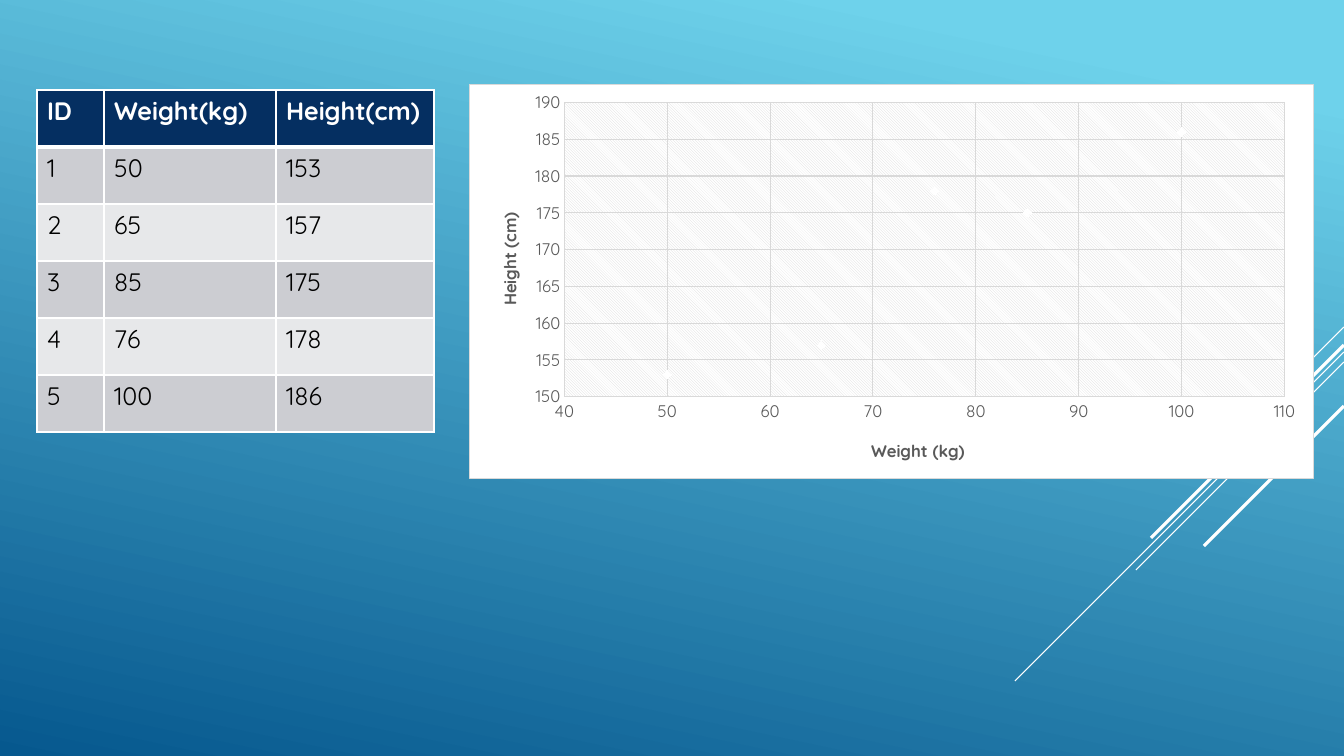
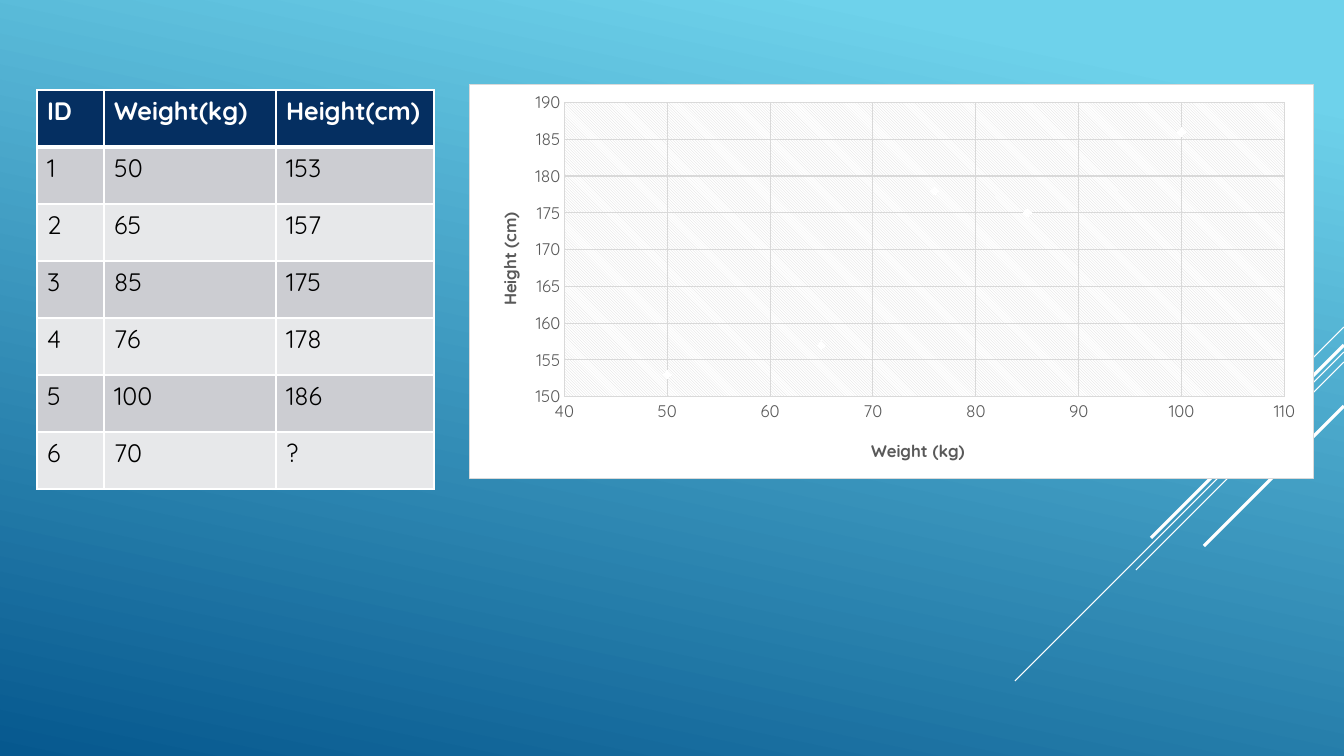
from dataclasses import dataclass

from pptx import Presentation
from pptx.chart.axis import ValueAxis
from pptx.chart.chart import Chart
from pptx.chart.data import XyChartData
from pptx.dml.color import RGBColor
from pptx.dml.line import LineFormat
from pptx.enum.chart import XL_CHART_TYPE, XL_MARKER_STYLE, XL_TICK_MARK
from pptx.enum.shapes import MSO_CONNECTOR
from pptx.oxml import parse_xml
from pptx.oxml.ns import nsdecls, qn
from pptx.oxml.xmlchemy import BaseOxmlElement
from pptx.presentation import Presentation as Deck
from pptx.slide import Slide
from pptx.table import _Cell as Cell
from pptx.text.text import Font
from pptx.util import Emu, Pt

SCATTER = XL_CHART_TYPE.XY_SCATTER
DIAMOND = XL_MARKER_STYLE.DIAMOND
NO_TICK = XL_TICK_MARK.NONE
STRAIGHT = MSO_CONNECTOR.STRAIGHT

SLIDE_WIDTH, SLIDE_HEIGHT = 1344, 756
EMU_PER_PX = 12192000 / SLIDE_WIDTH
FONT = "Quicksand"
COLORS = {
    "sky": "6ED2EB",
    "ocean": "06588E",
    "white": "FFFFFF",
    "black": "000000",
    "header": "052F61",
    "band_dark": "CCCDD2",
    "band_light": "E7E8EA",
    "grid": "D9D9D9",
    "axis_text": "595959",
}


@dataclass(frozen=True)
class Box:
    left: int
    top: int
    width: int
    height: int


@dataclass(frozen=True)
class Streak:
    """A 45 degree line running down and left from the right slide edge."""

    top: int
    run: int
    weight: float


@dataclass(frozen=True)
class AxisStyle:
    title: str
    title_left: int
    title_top: int
    minimum: int
    maximum: int
    step: int


STREAKS = (
    Streak(327, 101, 0.75),
    Streak(352, 329, 0.75),
    Streak(362, 208, 0.75),
    Streak(345, 193, 2.25),
    Streak(406, 140, 2.25),
)

TABLE_LEFT, TABLE_TOP = 37, 90
COLUMN_WIDTHS = (67, 172, 158)
ROW_HEIGHT = 57
HEADINGS = ("ID", "Weight(kg)", "Height(cm)")
KNOWN_PEOPLE = (
    ("1", "50", "153"),
    ("2", "65", "157"),
    ("3", "85", "175"),
    ("4", "76", "178"),
    ("5", "100", "186"),
)
NEW_PERSON = ("6", "70", "?")

# Plot and axis title places are measured from the chart's corner.
CHART_BOX = Box(469, 84, 845, 395)
PLOT_BOX = Box(95, 18, 721, 295)
POINTS = ((65, 157), (100, 186), (85, 175), (50, 153), (76, 178))
WEIGHT_AXIS = AxisStyle("Weight (kg)", 399, 352, 40, 110, 10)
HEIGHT_AXIS = AxisStyle("Height (cm)", 25, 125, 150, 190, 5)


def px(length: int) -> Emu:
    return Emu(round(length * EMU_PER_PX))


def rgb(name: str) -> RGBColor:
    return RGBColor.from_string(COLORS[name])


def style_font(font: Font, size: int, color: str, bold: bool = False) -> None:
    font.name = FONT
    font.size = Pt(size)
    font.bold = bold
    font.color.rgb = rgb(color)


def style_line(line: LineFormat, color: str, weight: float) -> None:
    line.color.rgb = rgb(color)
    line.width = Pt(weight)


def paint_background(deck: Deck) -> None:
    fill = deck.slide_master.background.fill
    fill.gradient()
    fill.gradient_angle = 360 - 102
    stops = zip(fill.gradient_stops, (("sky", 0.1), ("ocean", 1)))
    for stop, (color, position) in stops:
        stop.color.rgb = rgb(color)
        stop.position = position


def add_streak(slide: Slide, streak: Streak) -> None:
    line = slide.shapes.add_connector(
        STRAIGHT,
        px(SLIDE_WIDTH),
        px(streak.top),
        px(SLIDE_WIDTH - streak.run),
        px(streak.top + streak.run),
    )
    style_line(line.line, "white", streak.weight)
    line.element.spPr.append(parse_xml(f"<a:effectLst {nsdecls('a')}/>"))


def set_borders(cell: Cell, top: int, bottom: int) -> None:
    properties = cell.fill and cell._tc.get_or_add_tcPr()
    for side, weight in (("L", 1), ("R", 1), ("T", top), ("B", bottom)):
        properties.append(parse_xml(
            f'<a:ln{side} {nsdecls("a")} w="{Pt(weight)}"><a:solidFill>'
            f'<a:srgbClr val="{COLORS["white"]}"/></a:solidFill></a:ln{side}>'
        ))


def add_people_table(slide: Slide, people: tuple[tuple[str, ...], ...]) -> None:
    rows = (HEADINGS, *people)
    table = slide.shapes.add_table(
        len(rows), len(HEADINGS), px(TABLE_LEFT), px(TABLE_TOP),
        px(sum(COLUMN_WIDTHS)), px(ROW_HEIGHT * len(rows)),
    ).table
    table.horz_banding = False
    for column, width in zip(table.columns, COLUMN_WIDTHS):
        column.width = px(width)
    for row_index, texts in enumerate(rows):
        is_header = row_index == 0
        band = "band_dark" if row_index % 2 else "band_light"
        table.rows[row_index].height = px(ROW_HEIGHT)
        for column_index, text in enumerate(texts):
            cell = table.cell(row_index, column_index)
            set_borders(cell, 3 if row_index == 1 else 1, 3 if is_header else 1)
            cell.fill.solid()
            cell.fill.fore_color.rgb = rgb("header" if is_header else band)
            span = cell.text_frame.paragraphs[0].add_run()
            span.text = text
            style_font(span.font, 18, "white" if is_header else "black", is_header)


def chart_layout(left: int, top: int, plot: Box | None = None) -> BaseOxmlElement:
    """Place a chart part by fractions of the chart's size."""
    fractions = {"x": left / CHART_BOX.width, "y": top / CHART_BOX.height}
    target = ""
    if plot:
        target = '<c:layoutTarget val="inner"/>'
        fractions["w"] = plot.width / CHART_BOX.width
        fractions["h"] = plot.height / CHART_BOX.height
    modes = '<c:xMode val="edge"/><c:yMode val="edge"/>'
    values = "".join(f'<c:{key} val="{value:.4f}"/>' for key, value in fractions.items())
    return parse_xml(
        f"<c:layout {nsdecls('c')}><c:manualLayout>{target}{modes}{values}"
        "</c:manualLayout></c:layout>"
    )


def drop_layout(parent: BaseOxmlElement) -> None:
    for layout in parent.findall(qn("c:layout")):
        parent.remove(layout)


def style_axis(axis: ValueAxis, style: AxisStyle) -> None:
    axis.minimum_scale = style.minimum
    axis.maximum_scale = style.maximum
    axis.major_unit = style.step
    axis.major_tick_mark = axis.minor_tick_mark = NO_TICK
    axis.has_major_gridlines = True
    style_line(axis.major_gridlines.format.line, "grid", 0.75)
    style_line(axis.format.line, "grid", 0.75)
    style_font(axis.tick_labels.font, 12, "axis_text")
    span = axis.axis_title.text_frame.paragraphs[0].add_run()
    span.text = style.title
    style_font(span.font, 12, "axis_text", bold=True)
    title = axis.axis_title.element
    drop_layout(title)
    title.find(qn("c:tx")).addnext(chart_layout(style.title_left, style.title_top))


def fill_chart_areas(chart: Chart) -> None:
    """Give the chart a white ground and the plot a hatched one."""
    chart_part = chart.element.find(qn("c:chart"))
    chart_part.addnext(parse_xml(
        f'<c:spPr {nsdecls("c", "a")}><a:solidFill><a:srgbClr val="{COLORS["white"]}"/>'
        f'</a:solidFill><a:ln w="{Pt(0.75)}"><a:solidFill>'
        f'<a:srgbClr val="{COLORS["grid"]}"/></a:solidFill></a:ln></c:spPr>'
    ))
    plot_area = chart_part.find(qn("c:plotArea"))
    drop_layout(plot_area)
    plot_area.insert(0, chart_layout(PLOT_BOX.left, PLOT_BOX.top, PLOT_BOX))
    plot_area.append(parse_xml(
        f'<c:spPr {nsdecls("c", "a")}><a:pattFill prst="ltDnDiag">'
        f'<a:fgClr><a:srgbClr val="{COLORS["grid"]}"/></a:fgClr>'
        f'<a:bgClr><a:srgbClr val="{COLORS["white"]}"/></a:bgClr>'
        "</a:pattFill><a:ln><a:noFill/></a:ln></c:spPr>"
    ))


def add_scatter_chart(slide: Slide) -> None:
    data = XyChartData()
    points = data.add_series("Series 1")
    for weight, height in POINTS:
        points.add_data_point(weight, height)
    chart = slide.shapes.add_chart(
        SCATTER, px(CHART_BOX.left), px(CHART_BOX.top),
        px(CHART_BOX.width), px(CHART_BOX.height), data,
    ).chart
    chart.has_title = False
    chart.has_legend = False
    style_font(chart.font, 10, "white")
    fill_chart_areas(chart)
    style_axis(chart.category_axis, WEIGHT_AXIS)
    style_axis(chart.value_axis, HEIGHT_AXIS)
    plot = chart.plots[0]
    plot.vary_by_categories = False
    series = plot.series[0]
    series.format.line.fill.background()
    series.marker.style = DIAMOND
    series.marker.size = 6
    series.marker.format.fill.solid()
    series.marker.format.fill.fore_color.rgb = rgb("white")
    style_line(series.marker.format.line, "white", 0.75)


def add_people_slide(deck: Deck, people: tuple[tuple[str, ...], ...]) -> None:
    slide = deck.slides.add_slide(deck.slide_layouts[6])
    for streak in STREAKS:
        add_streak(slide, streak)
    add_scatter_chart(slide)
    add_people_table(slide, people)


def main() -> None:
    deck = Presentation()
    deck.slide_width = px(SLIDE_WIDTH)
    deck.slide_height = px(SLIDE_HEIGHT)
    paint_background(deck)
    add_people_slide(deck, KNOWN_PEOPLE)
    add_people_slide(deck, (*KNOWN_PEOPLE, NEW_PERSON))
    deck.save("out.pptx")


if __name__ == "__main__":
    main()
